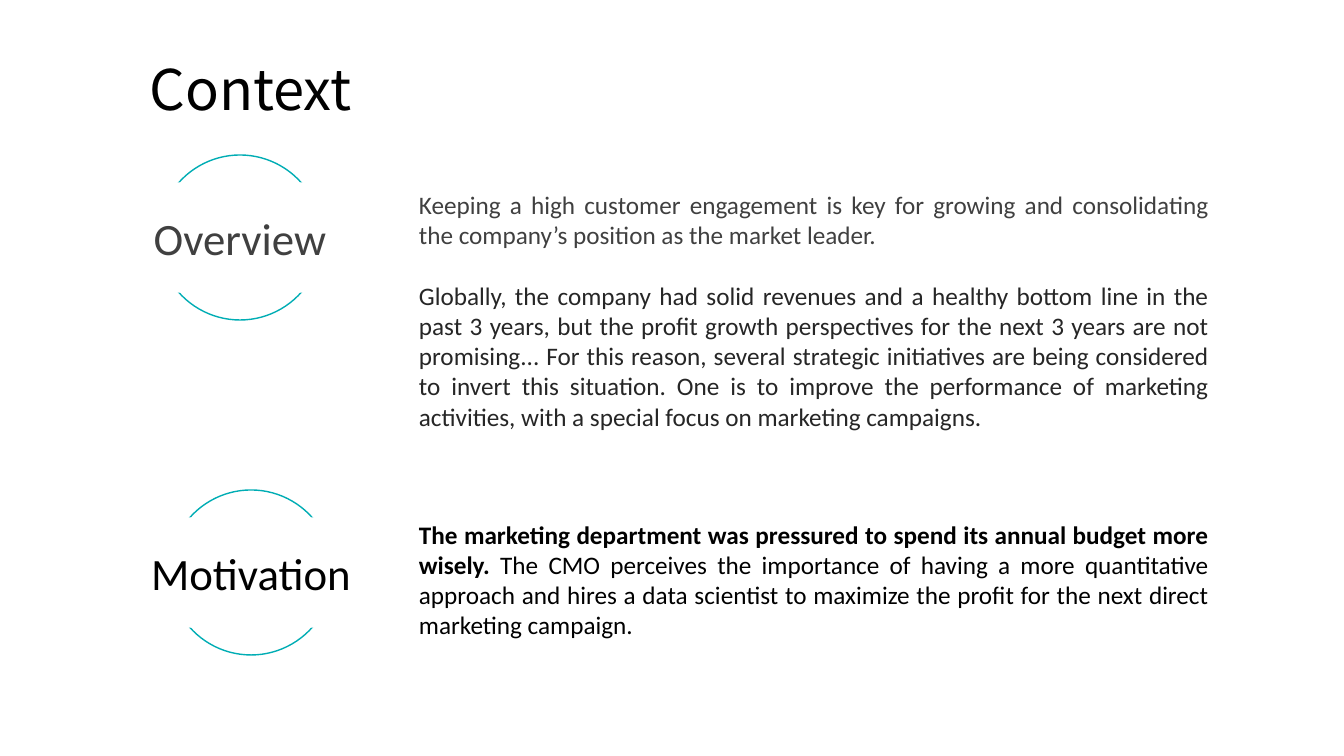
from pptx import Presentation
from pptx.dml.color import RGBColor
from pptx.enum.shapes import MSO_SHAPE as Shape
from pptx.enum.text import MSO_ANCHOR as Anchor, MSO_AUTO_SIZE as AutoSize, PP_ALIGN as Align
from pptx.util import Emu, Pt

PX = 914400 / 100.8
TEAL, WHITE, BLACK, GREY, DARK = "00ADB4", "FFFFFF", "000000", "404040", "262626"

SECTIONS = [
    ("Overview", GREY, (97, 155, 286, 165), [
        ((409, 184, 810, 72), GREY, [
            ("Keeping a high customer engagement is key for growing and consolidating "
             "the company’s position as the market leader.", False)]),
        ((409, 275, 810, 163), DARK, [
            ("Globally, the company had solid revenues and a healthy bottom line in the "
             "past 3 years, but the profit growth perspectives for the next 3 years are not "
             "promising... For this reason, several strategic initiatives are being considered "
             "to invert this situation. One is to improve the performance of marketing "
             "activities, with a special focus on marketing campaigns.", False)]),
    ]),
    ("Motivation", BLACK, (108, 490, 286, 165), [
        ((409, 514, 810, 132), BLACK, [
            ("The marketing department was pressured to spend its annual budget more wisely. ", True),
            ("The CMO perceives the importance of having a more quantitative approach and "
             "hires a data scientist to maximize the profit for the next direct marketing "
             "campaign.", False)]),
    ]),
]


def emu(*pixels):
    """Turn pixel lengths into EMU."""
    return [Emu(round(p * PX)) for p in pixels]


def rgb(value):
    """Turn a hex string into a colour."""
    return RGBColor.from_string(value)


def assign(target, formats):
    """Set every attribute in a dict of format values."""
    for name, value in formats.items():
        setattr(target, name, value)


def write(frame, runs, color, size, align, anchor=Anchor.TOP, font="Calibri"):
    """Fill a text frame with one paragraph of (text, bold) runs."""
    assign(frame, {"word_wrap": True, "auto_size": AutoSize.NONE, "vertical_anchor": anchor})
    paragraph = frame.paragraphs[0]
    paragraph.alignment = align
    for text, bold in runs:
        run = paragraph.add_run()
        run.text = text
        assign(run.font, {"name": font, "size": Pt(size), "bold": bold})
        run.font.color.rgb = rgb(color)


def place_title(slide, box):
    """Move and format the title placeholder."""
    title = slide.shapes.title
    assign(title, dict(zip(("left", "top", "width", "height"), emu(*box))))
    write(title.text_frame, [("Context", False)], BLACK, 40, Align.CENTER,
          font="Noto Sans CJK KR")


def add_outline(shapes, preset, box, line):
    """Add a flat preset shape with a thin line."""
    shape = shapes.add_shape(preset, *emu(*box))
    shape.shadow.inherit = False
    shape.fill.background()
    shape.line.color.rgb = rgb(line)
    shape.line.width = Pt(1)
    return shape


def add_badge(slide, box, label, color):
    """Draw a ring whose middle is covered by a label band."""
    left, top, width, height = box
    ring_width, band_height = 164, 109
    shapes = slide.shapes.add_group_shape().shapes
    add_outline(shapes, Shape.OVAL,
                (left + (width - ring_width) / 2, top, ring_width, height), TEAL)
    band = add_outline(shapes, Shape.ROUNDED_RECTANGLE,
                       (left, top + (height - band_height) / 2, width, band_height), WHITE)
    band.fill.solid()
    band.fill.fore_color.rgb = rgb(WHITE)
    write(band.text_frame, [(label, False)], color, 32, Align.CENTER, Anchor.MIDDLE)


def add_body(slide, box, color, runs):
    """Add a justified passage."""
    passage = slide.shapes.add_textbox(*emu(*box))
    write(passage.text_frame, runs, color, 18, Align.JUSTIFY)


def build():
    """Build the context slide."""
    deck = Presentation()
    deck.slide_width, deck.slide_height = emu(1344, 756)
    slide = deck.slides.add_slide(deck.slide_layouts[5])
    place_title(slide, (134, 49, 233, 78))
    for label, color, badge_box, passages in SECTIONS:
        add_badge(slide, badge_box, label, color)
        for passage in passages:
            add_body(slide, *passage)
    deck.save("out.pptx")


build()
